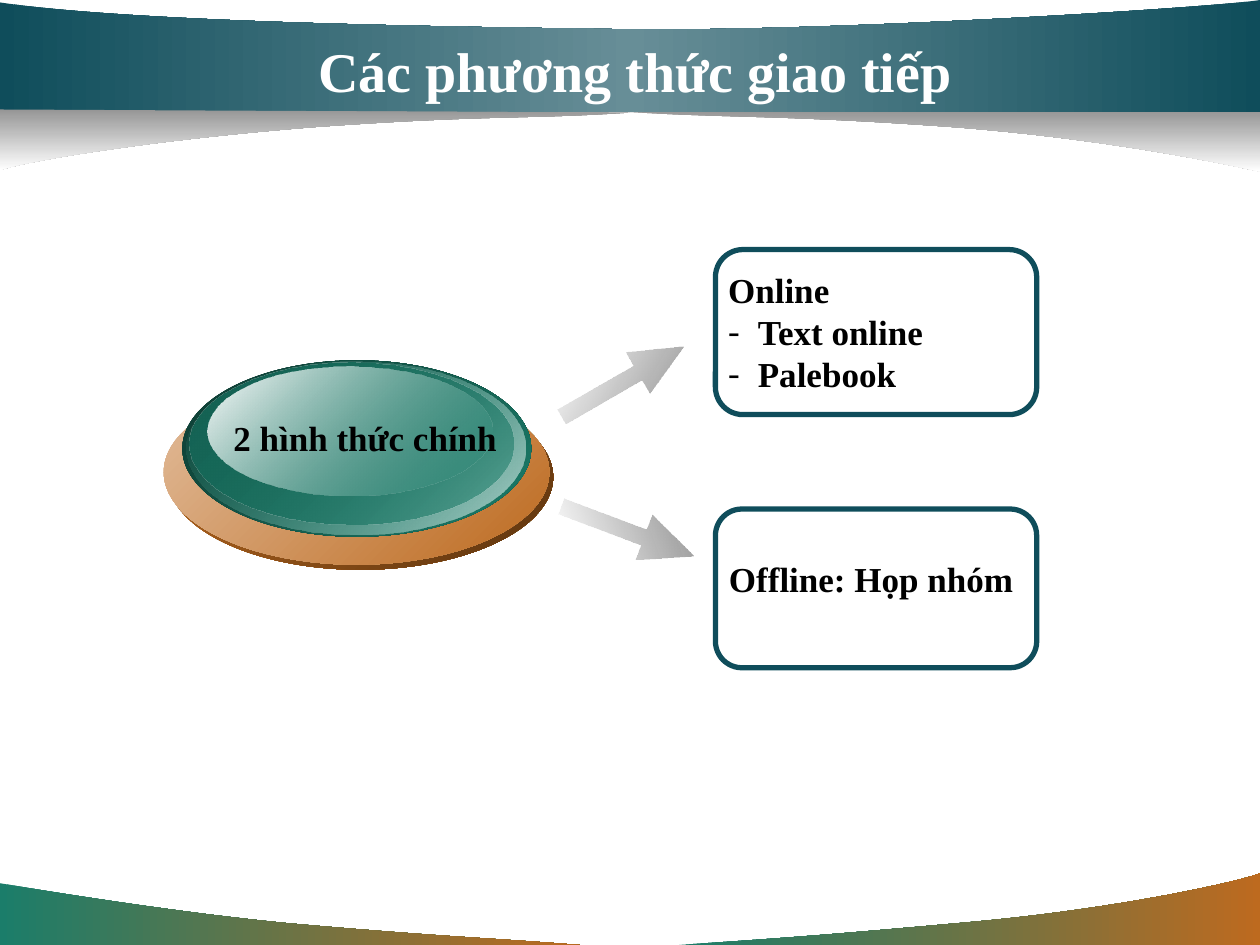
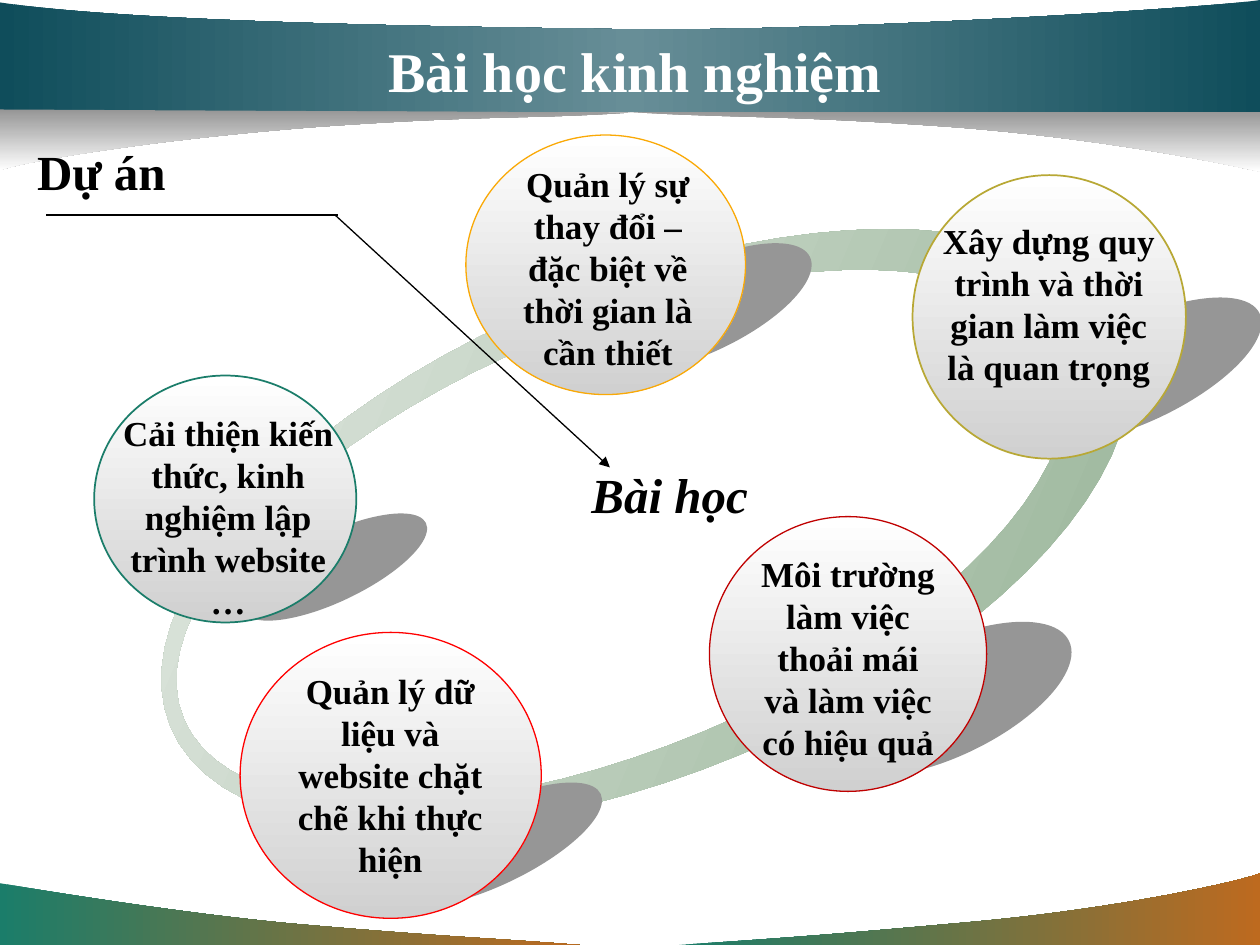
import math
from lxml import etree
from pptx import Presentation, util as u
from pptx.dml.color import RGBColor
from pptx.enum import shapes, text
from pptx.oxml import ns

COLOURS = {
    "white": "FFFFFF", "black": "000000", "navy": "0F4D5B", "steel": "678E97",
    "teal": "1B7D6A", "deep teal": "156354", "dark teal": "0D3A31", "pale teal": "AFD2CB",
    "orange": "BD6A1F", "brown": "5C340F", "sand": "E2BD9C",
    "grey": "969696", "dark grey": "868686", "silver": "D0D0D0",
    "sage": "98B498", "pale sage": "E1E8E1",
    "gold": "FAA906", "red": "FF0000", "crimson": "C00000", "olive": "B8A835",
}
BODY = {"name": "Times New Roman", "size": u.Pt(20), "bold": True}
TITLE = {**BODY, "size": u.Pt(32)}
CAPTION = {**BODY, "size": u.Pt(28)}
KIND = shapes.MSO_SHAPE
ALIGN = text.PP_ALIGN

# Outlines of the frame: a pair is a corner, six numbers are a curve.
# Each entry: outline, gradient colours, gradient angle
FOOT = ("teal", "orange")
SHADE = ("grey", "white")
FRAME = [
    ([(331.2, 540), (276.5, 535.7, 257.8, 535.7, 167, 527.8),
      (90.7, 520.6, 0.7, 504.7, 0, 504.7), (0, 540)], FOOT, 0),
    ([(388, 540), (442, 536.4, 465, 535, 553.7, 527),
      (642.2, 519.1, 712.8, 502.6, 720, 499), (720, 540)], FOOT, 0),
    ([(360, 64), (420.5, 67.7, 446.4, 65.5, 545.8, 72.7),
      (646.6, 80.6, 718.6, 98, 720, 98), (720, 63.4)], SHADE, 90),
    ([(0, 64.2), (720, 64.2), (720, 0), (694, 4.3, 470.2, 18.7, 350.6, 16.6),
      (231, 15, 72.7, 12.2, 0, 1.4)], ("navy", "steel", "navy"), 0),
    ([(360, 64.4), (299.5, 68.4, 279.4, 65.5, 179.3, 72.7),
      (79.2, 80.6, 7.9, 93.6, 0, 97.4), (0, 62.6)], SHADE, 90),
]

# Layers of the button: box, gradient stops (colour or colour with opacity)
BUTTON = [
    ((95.8, 219.8, 220.3, 105.8), ("orange", "brown")),
    ((93.6, 216.9, 220.3, 105.8), ("sand", "orange")),
    ((104.2, 205.9, 199.4, 100.8), ("dark teal", "teal")),
    ((106.4, 206.6, 193.7, 98.6), (("teal", 0), "pale teal")),
    ((108.6, 207.3, 185, 92.2), ("deep teal", ("teal", 48))),
    ((118.8, 209.5, 162.7, 73.4), ("white", ("teal", 38))),
]

# Lessons: outline colour, weight, ball, shadow, text box, paragraphs
LESSONS = [
    ("gold", 0.75, (266.2, 77.2, 159.8, 148.3), (336.2, 150.5, 133.2, 50.4),
     (290.9, 89.3, 113, 127.4),
     ["Quản lý sự thay đổi – đặc biệt về thời gian là cần thiết"]),
    ("teal", 1, (53.8, 214.6, 149.8, 141.1), (133.2, 304.6, 115.9, 38.9),
     (60.2, 231.5, 140.4, 127.4),
     ["Cải thiện kiến thức, kinh nghiệm lập trình website", "…"]),
    ("red", 0.75, (137.2, 361.4, 172.1, 163.4), (215.3, 460.1, 134.6, 45.4),
     (158.6, 379.1, 128.9, 127.4),
     ["Quản lý dữ liệu và website chặt chẽ khi thực hiện"]),
    ("crimson", 0.75, (405.4, 295.2, 158.4, 157), (465.1, 367.2, 153.4, 64.8),
     (425.9, 312.2, 117.4, 127.4),
     ["Môi trường làm việc thoải mái và làm việc có hiệu quả"]),
    ("olive", 1, (521.5, 100.1, 156.2, 162), (576.7, 182.9, 150.5, 57.6),
     (530.2, 121.7, 138.2, 103.7),
     ["Xây dựng quy trình và thời gian làm việc là quan trọng"]),
]


def points(values):
    return [u.Pt(value) for value in values]


def colour(name):
    return RGBColor.from_string(COLOURS[name])


def add_xml(parent, tag, **attributes):
    return etree.SubElement(parent, ns.qn(tag), attributes)


def paint_gradient(shape, stops, angle):
    shape.fill.gradient()
    shape.fill.gradient_angle = -angle % 360
    gradient = shape._element.spPr.find(ns.qn("a:gradFill"))
    gradient.set("rotWithShape", "0")
    stop_list = gradient.find(ns.qn("a:gsLst"))
    for old in list(stop_list):
        stop_list.remove(old)
    for index, stop in enumerate(stops):
        name, opacity = stop if isinstance(stop, tuple) else (stop, 100)
        mark = add_xml(stop_list, "a:gs", pos=str(100000 * index // (len(stops) - 1)))
        tint = add_xml(mark, "a:srgbClr", val=COLOURS[name])
        if opacity < 100:
            add_xml(tint, "a:alpha", val=str(opacity * 1000))


def finish(shape, fill=None, angle=0, outline=None, weight=0.75):
    """Fill with a colour name, a tuple of gradient stops, or nothing."""
    shape.shadow.inherit = False
    if fill is None:
        shape.fill.background()
    elif isinstance(fill, tuple):
        paint_gradient(shape, fill, angle)
    else:
        shape.fill.solid()
        shape.fill.fore_color.rgb = colour(fill)
    if outline:
        shape.line.color.rgb = colour(outline)
        shape.line.width = u.Pt(weight)
    else:
        shape.line.fill.background()


def add_shape(page, kind, box, turn=0, adjust=(), **style):
    shape = page.shapes.add_shape(kind, *points(box))
    shape.rotation = turn
    for index, value in enumerate(adjust):
        shape.adjustments[index] = value
    finish(shape, **style)


def add_outline(page, contours, fill, angle):
    """Draw contours of corners (pairs) and curves (three pairs in a row)."""
    builder = None
    for contour in contours:
        first, *rest = [points(part[k:k + 2]) for part in contour
                        for k in range(0, len(part), 2)]
        if builder is None:
            builder = page.shapes.build_freeform(*first)
        else:
            builder.move_to(*first)
        builder.add_line_segments(rest, close=True)
    shape = builder.convert_to_shape()
    bend_curves(shape, [part for contour in contours for part in contour[1:]])
    finish(shape, fill, angle)


def bend_curves(shape, parts):
    segments = iter(list(shape._element.iter(ns.qn("a:lnTo"))))
    for part in parts:
        run = [next(segments) for _ in range(len(part) // 2)]
        if len(run) == 3:
            curve = etree.Element(ns.qn("a:cubicBezTo"))
            run[0].addprevious(curve)
            for segment in run:
                curve.append(segment[0])
                segment.getparent().remove(segment)


def tilted_ellipse(centre, radii, tilt, steps=80):
    cosine, sine = math.cos(math.radians(tilt)), math.sin(math.radians(tilt))
    corners = []
    for step in range(steps):
        turn = math.tau * step / steps
        x, y = radii[0] * math.cos(turn), radii[1] * math.sin(turn)
        corners.append((centre[0] + x * cosine - y * sine, centre[1] + x * sine + y * cosine))
    return corners


def add_bullet(para, mark, indent):
    settings = para._p.get_or_add_pPr()
    settings.set("marL", str(u.Pt(indent)))
    settings.set("indent", str(-u.Pt(indent)))
    add_xml(add_xml(settings, "a:buClr"), "a:srgbClr", val=COLOURS["black"])
    add_xml(settings, "a:buFont", typeface=BODY["name"])
    add_xml(settings, "a:buChar", char=mark)


def add_text(page, box, lines, style=BODY, ink="black", align=ALIGN.CENTER,
             anchor=text.MSO_ANCHOR.TOP, wrap=True, bullets_from=None):
    frame = page.shapes.add_textbox(*points(box)).text_frame
    frame.word_wrap = wrap
    frame.vertical_anchor = anchor
    for index, line in enumerate(lines):
        para = frame.add_paragraph() if index else frame.paragraphs[0]
        para.alignment = align
        if bullets_from is not None and index >= bullets_from:
            add_bullet(para, "-", 17)
        span = para.add_run()
        span.text = line
        for name, value in style.items():
            setattr(span.font, name, value)
        span.font.color.rgb = colour(ink)


def add_line(page, start, end, arrow=False):
    line = page.shapes.add_connector(shapes.MSO_CONNECTOR.STRAIGHT,
                                     *points(start), *points(end))
    line.line.color.rgb = colour("black")
    line.line.width = u.Pt(0.75)
    if arrow:
        add_xml(line.line._get_or_add_ln(), "a:tailEnd", type="triangle")
    add_xml(line._element.spPr, "a:effectLst")


def add_page(deck, title):
    page = deck.slides.add_slide(deck.slide_layouts[6])
    for outline, stops, angle in FRAME:
        add_outline(page, [outline], stops, angle)
    add_text(page, (54, 18, 617.8, 44.6), [title], TITLE, "white",
             anchor=text.MSO_ANCHOR.MIDDLE)
    return page


def build_methods(deck):
    page = add_page(deck, "Các phương thức giao tiếp")
    # Button
    for box, stops in BUTTON:
        add_shape(page, KIND.OVAL, box, fill=stops, angle=45)
    add_text(page, (123.8, 234.4, 169.9, 31.7), ["2 hình thức chính"])
    # Cards
    for top, height in ((142.6, 94.3), (290.9, 90.7)):
        add_shape(page, KIND.ROUNDED_RECTANGLE, (408.8, top, 183.6, height),
                  adjust=(0.167,), outline="navy", weight=3)
    add_text(page, (409, 150.1, 205.9, 79.2), ["Online", "Text online", "Palebook"],
             align=ALIGN.LEFT, bullets_from=1)
    add_text(page, (409.5, 315, 177.1, 31.7), ["Offline: Họp nhóm"],
             align=ALIGN.LEFT, wrap=False)
    # Arrows
    for left, top, turn in ((315.4, 204.3, 330.2), (318.2, 290, 20.4)):
        add_shape(page, KIND.RIGHT_ARROW, (left, top, 80.6, 27.4), turn, (0.352, 1.11),
                  fill=(("dark grey", 0), "grey"), angle=360 - turn)


def build_lessons(deck):
    page = add_page(deck, "Bài học kinh nghiệm")
    # Ring
    outer = tilted_ellipse((369, 302.4), (294.1, 139.7), -22.6)
    inner = tilted_ellipse((355.3, 306.7), (271.1, 120.8), -22.6)
    add_outline(page, [outer, inner[::-1]], ("sage", "pale sage"), 203)
    # Balls over their shadows
    for _, _, _, shadow, _, _ in LESSONS:
        add_shape(page, KIND.OVAL, shadow, 334.3, fill="grey")
    for outline, weight, ball, _, _, _ in LESSONS:
        add_shape(page, KIND.OVAL, ball, fill=("white", "silver"), angle=90,
                  outline=outline, weight=weight)
    # Pointer from project to lessons
    add_text(page, (271.4, 261.7, 222.5, 41), ["Bài học"], {**CAPTION, "italic": True})
    add_line(page, (191.5, 122.9), (348.5, 267.1), arrow=True)
    add_line(page, (193, 122.9), (26.2, 122.9))
    add_text(page, (14.1, 77.4, 198.7, 41), ["Dự án"], CAPTION, align=ALIGN.LEFT)
    # Lesson texts
    for *_, box, lines in LESSONS:
        add_text(page, box, lines)


def main():
    deck = Presentation()
    deck.slide_width, deck.slide_height = u.Pt(720), u.Pt(540)
    build_methods(deck)
    build_lessons(deck)
    deck.save("out.pptx")


if __name__ == "__main__":
    main()
